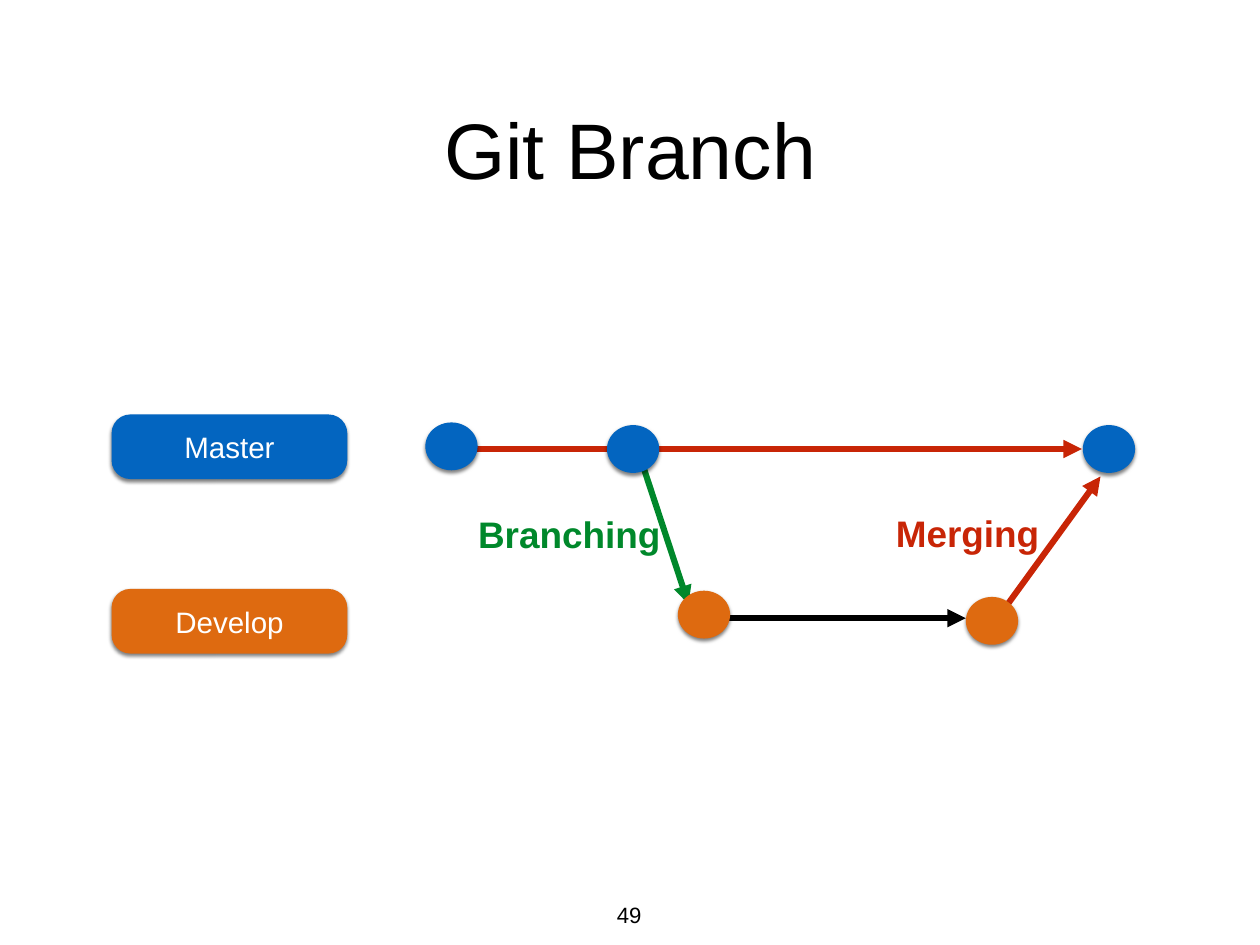
from lxml import etree
from pptx import Presentation
from pptx import util as u
from pptx.dml.color import RGBColor
from pptx.enum import shapes, text
from pptx.oxml.ns import qn

PX = 9144  # 100 px to the inch

BLUE = RGBColor(0x03, 0x65, 0xC0)
ORANGE = RGBColor(0xDE, 0x6A, 0x10)
RED = RGBColor(0xC8, 0x25, 0x06)
GREEN = RGBColor(0x00, 0x88, 0x2B)
BLACK = RGBColor(0, 0, 0)
WHITE = RGBColor(255, 255, 255)


def write(sp, words, size, color=BLACK, bold=False, anchor=text.MSO_ANCHOR.MIDDLE):
    tf = sp.text_frame
    tf.word_wrap = False
    tf.vertical_anchor = anchor
    tf.margin_left = tf.margin_right = tf.margin_top = tf.margin_bottom = 6 * PX
    p = tf.paragraphs[0]
    p.alignment = text.PP_ALIGN.CENTER
    r = p.add_run()
    r.text = words
    r.font.name = "Arial"
    r.font.size = u.Pt(size)
    r.font.bold = bold
    r.font.color.rgb = color


def add_shadowed(kind, x, y, w, h, color):
    sp = s.shapes.add_shape(kind, x * PX, y * PX, w * PX, h * PX)
    sp.fill.solid()
    sp.fill.fore_color.rgb = color
    sp.line.fill.background()
    sp.shadow.inherit = False
    effects = sp._element.spPr.find(qn("a:effectLst"))
    shadow = etree.SubElement(effects, qn("a:outerShdw"), blurRad=str(u.Pt(3)),
                              dist=str(u.Pt(2)), dir="5400000", rotWithShape="0")
    black = etree.SubElement(shadow, qn("a:srgbClr"), val="000000")
    etree.SubElement(black, qn("a:alpha"), val="49000")
    return sp


prs = Presentation()
prs.slide_width, prs.slide_height = 1422 * PX, 1067 * PX
s = prs.slides.add_slide(prs.slide_layouts[6])

# Arrows between commits
for x1, y1, x2, y2, color in [
    (521, 507, 1221, 507, RED),
    (1136, 684, 1242, 538, RED),
    (823, 698, 1090, 698, BLACK),
    (726, 527, 777, 682, GREEN),
]:
    arrow = s.shapes.add_connector(shapes.MSO_CONNECTOR.STRAIGHT,
                                   x1 * PX, y1 * PX, x2 * PX, y2 * PX)
    arrow.line.color.rgb = color
    arrow.line.width = u.Pt(5)
    spPr = arrow._element.spPr
    etree.SubElement(spPr.find(qn("a:ln")), qn("a:tailEnd"), type="triangle")
    etree.SubElement(spPr, qn("a:effectLst"))

# Branch names
for name, y, color in [("Master", 468, BLUE), ("Develop", 665, ORANGE)]:
    branch = add_shadowed(shapes.MSO_SHAPE.ROUNDED_RECTANGLE, 126, y, 266, 73, color)
    branch.adjustments[0] = 0.29
    write(branch, name, 24, WHITE)

# Commits
for x, y, color in [
    (480, 477, BLUE), (685, 480, BLUE), (1222, 480, BLUE),
    (765, 667, ORANGE), (1090, 674, ORANGE),
]:
    add_shadowed(shapes.MSO_SHAPE.OVAL, x, y, 59, 54, color)

# Title, arrow labels and page number
for words, x, y, w, h, style in [
    ("Git Branch", 104, 49, 1214, 236, dict(size=64)),
    ("Branching", 533, 572, 219, 61, dict(size=30, color=GREEN, bold=True)),
    ("Merging", 993, 570, 198, 62, dict(size=30, color=RED, bold=True)),
    ("49", 690, 1012, 40, 42, dict(size=18, anchor=text.MSO_ANCHOR.TOP)),
]:
    box = s.shapes.add_textbox(x * PX, y * PX, w * PX, h * PX)
    write(box, words, **style)

prs.save("out.pptx")
